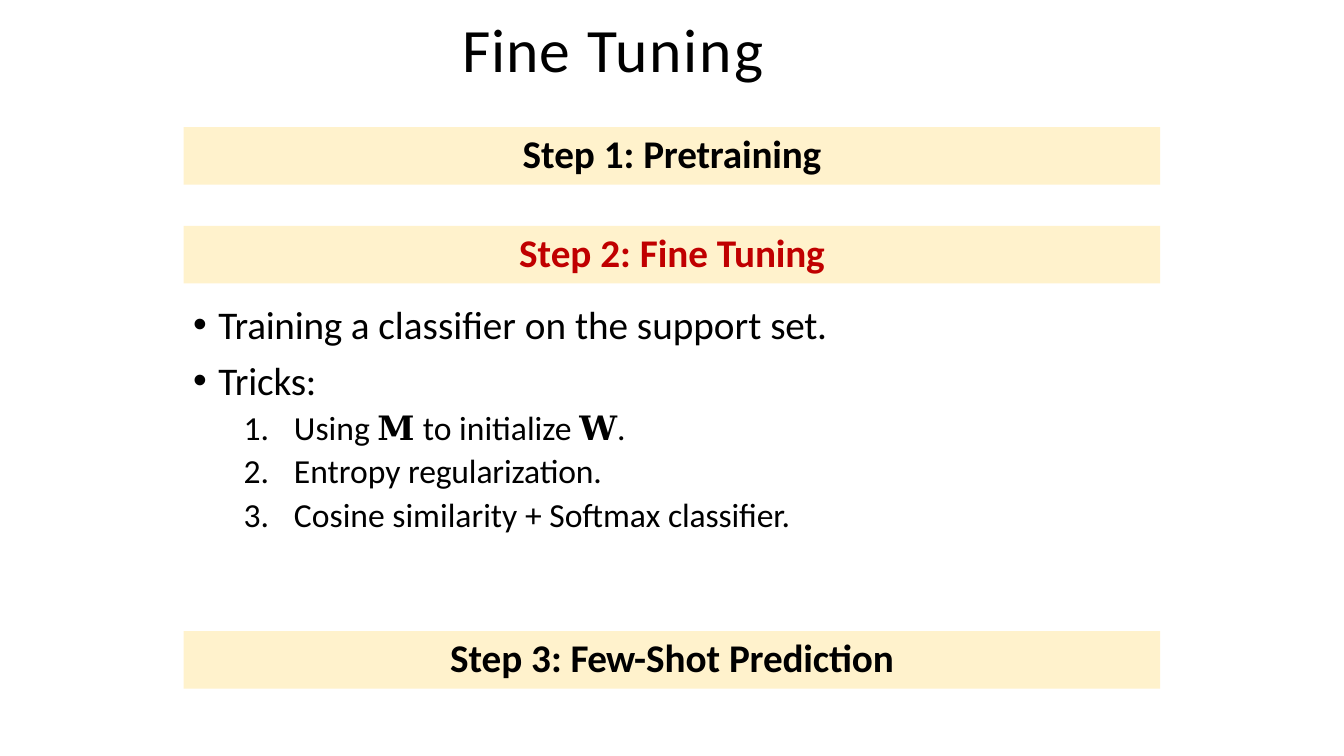
from dataclasses import dataclass
from typing import NamedTuple

from lxml import etree
from pptx import Presentation
from pptx import util as u
from pptx.dml.color import RGBColor
from pptx.enum import shapes, text
from pptx.oxml.ns import qn

EMU_PER_PX = 9525
BODY_FONT = "Calibri"
MATH_FONT = "Times New Roman"
BLACK, RED, CREAM = "000000", "C00000", "FFF2CC"


class Run(NamedTuple):
    text: str
    spacing: float = 0  # points between letters
    font: str = BODY_FONT


@dataclass
class StepBar:
    top: int
    runs: list[Run]
    color: str = BLACK


@dataclass
class ListItem:
    runs: list[Run]
    space_before: float = 0
    numbered: bool = False


STEPS = [
    StepBar(121, [Run("Step 1: "), Run("Pretraining", -0.1)]),
    StepBar(215, [Run("Step 2: Fine "), Run("Tuning", -0.1)], RED),
    StepBar(601, [Run("Step 3: "), Run("Few-", -0.5), Run("Shot "),
                  Run("Prediction", -0.1)]),
]
ITEMS = [
    ListItem([Run("Training ", -0.2), Run("a classifier on the support "),
              Run("set.", -0.2)]),
    ListItem([Run("Tricks:", -0.1)], 6.4),
    ListItem([Run("Using "), Run("𝐌 ", 0, MATH_FONT), Run("to initialize "),
              Run("𝐖", -0.2, MATH_FONT), Run(".", -0.2)], 2.4, True),
    ListItem([Run("Entropy "), Run("regularization.", -0.1)], 2.2, True),
    ListItem([Run("Cosine similarity + Softmax "), Run("classifier.", -0.1)], 2.2, True),
]


def px(length: int) -> int:
    return length * EMU_PER_PX


def rgb(color: str) -> RGBColor:
    return RGBColor.from_string(color)


def place(shape, left: int, top: int, width: int, height: int) -> None:
    shape.left, shape.top, shape.width, shape.height = map(px, (left, top, width, height))


def set_frame(shape, top_inset: int, anchor=text.MSO_ANCHOR.TOP):
    """Set insets, wrapping and anchor, and return the text frame."""
    frame = shape.text_frame
    frame.margin_left = frame.margin_right = frame.margin_bottom = 0
    frame.margin_top = px(top_inset)
    frame.word_wrap = True
    frame.auto_size = text.MSO_AUTO_SIZE.SHAPE_TO_FIT_TEXT
    frame.vertical_anchor = anchor
    return frame


def write(paragraph, runs: list[Run], *, size: int, color: str = BLACK, bold: bool = False,
          align=text.PP_ALIGN.LEFT, space_before: float = 0) -> None:
    paragraph.alignment = align
    paragraph.space_before = u.Pt(space_before)
    for part in runs:
        run = paragraph.add_run()
        run.text = part.text
        run.font.name = part.font
        run.font.size = u.Pt(size)
        run.font.bold = bold
        run.font.color.rgb = rgb(color)
        run.font._element.set("spc", str(round(part.spacing * 100)))


def indent(paragraph, left: int, first: int = 0):
    """Set the left margin and first-line indent, and return the properties element."""
    properties = paragraph._p.get_or_add_pPr()
    properties.set("marL", str(px(left)))
    properties.set("indent", str(px(first)))
    return properties


def add_marker(paragraph, numbered: bool) -> None:
    properties = indent(paragraph, 97, -48) if numbered else indent(paragraph, 25, -24)
    if numbered:
        etree.SubElement(properties, qn("a:buFont"), typeface="+mj-lt")
        etree.SubElement(properties, qn("a:buAutoNum"), type="arabicPeriod")
    else:
        etree.SubElement(properties, qn("a:buFont"), typeface="Arial")
        etree.SubElement(properties, qn("a:buChar"), char="•")


def add_title(slide) -> None:
    title = slide.shapes.title
    place(title, 48, 9, 1144, 72)
    paragraph = set_frame(title, 1, text.MSO_ANCHOR.MIDDLE).paragraphs[0]
    indent(paragraph, 392)
    write(paragraph, [Run("Fine ", 0.8), Run("Tuning", 1.4)], size=44)


def add_step(slide, step: StepBar) -> None:
    bar = slide.shapes.add_shape(shapes.MSO_SHAPE.RECTANGLE, 0, 0, 0, 0)
    place(bar, 175, step.top, 930, 55)
    bar.shadow.inherit = False
    bar.fill.solid()
    bar.fill.fore_color.rgb = rgb(CREAM)
    bar.line.fill.background()
    write(set_frame(bar, 2).paragraphs[0], step.runs, size=28, color=step.color,
          bold=True, align=text.PP_ALIGN.CENTER)


def add_list(slide) -> None:
    body = slide.placeholders[1]
    place(body, 183, 276, 611, 233)
    frame = set_frame(body, 10)
    for index, item in enumerate(ITEMS):
        paragraph = frame.add_paragraph() if index else frame.paragraphs[0]
        paragraph.level = int(item.numbered)
        add_marker(paragraph, item.numbered)
        write(paragraph, item.runs, size=24 if item.numbered else 28,
              space_before=item.space_before)


def main() -> None:
    presentation = Presentation()
    presentation.slide_width, presentation.slide_height = px(1280), px(720)
    slide = presentation.slides.add_slide(presentation.slide_layouts[1])
    add_title(slide)
    for step in STEPS:
        add_step(slide, step)
    add_list(slide)
    presentation.save("out.pptx")


if __name__ == "__main__":
    main()
